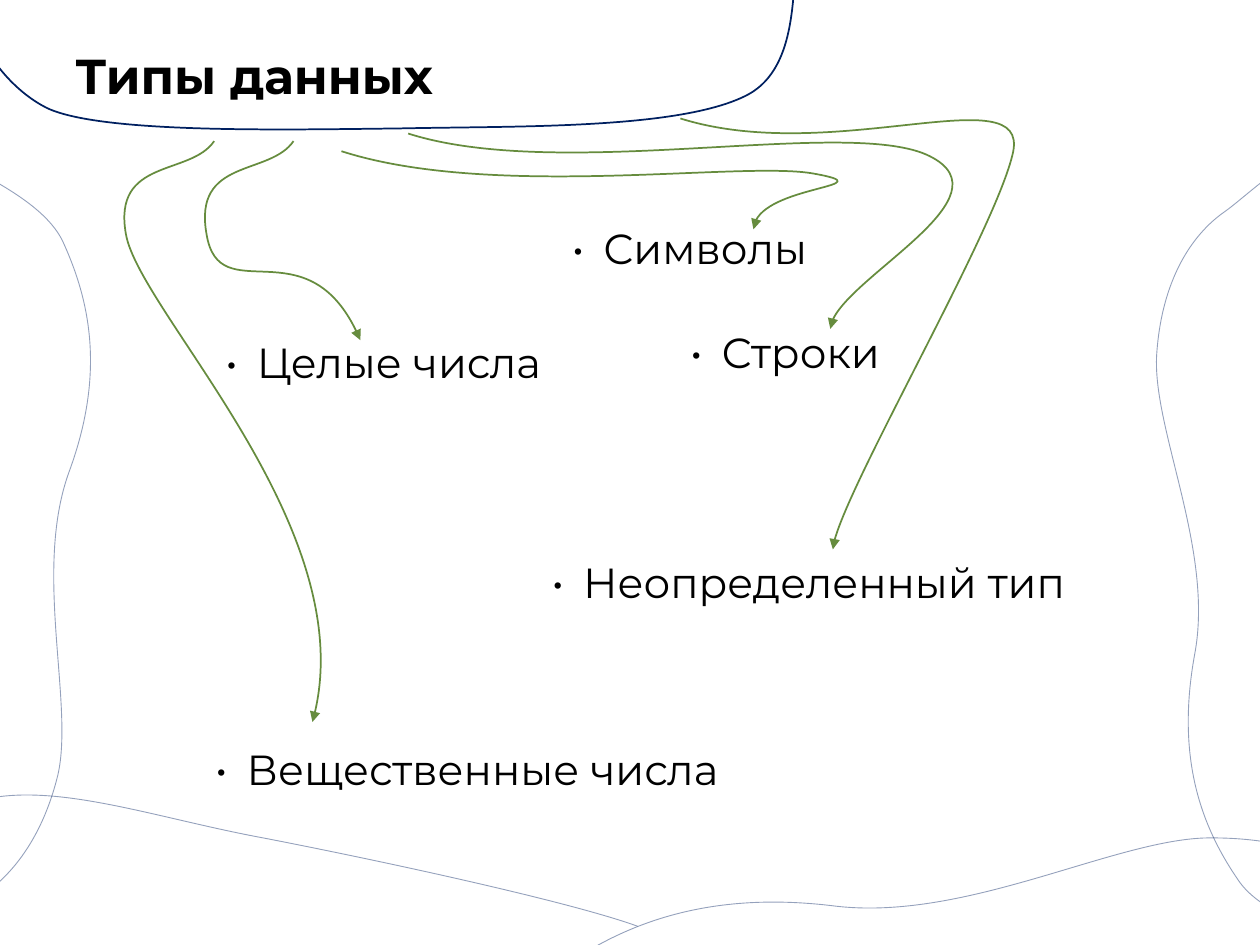
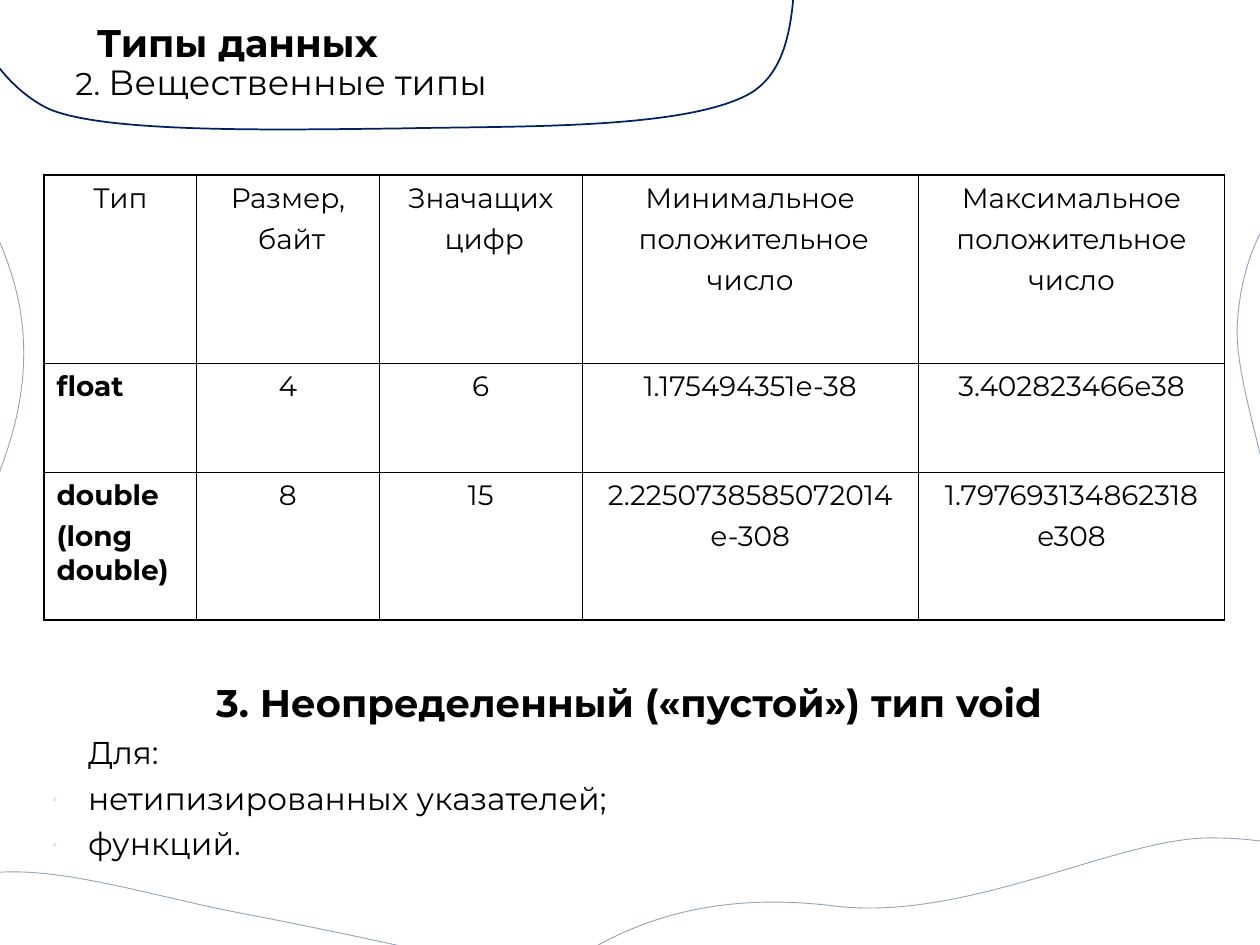
from dataclasses import dataclass
from math import cos, radians, sin

from lxml import etree
from pptx import Presentation
from pptx.dml.color import RGBColor
from pptx.enum import text as t
from pptx.oxml import parse_xml
from pptx.oxml.ns import nsdecls, qn
from pptx.util import Emu, Pt

PX = 9144  # 100 px to the inch

Point = tuple[int, int]


@dataclass(frozen=True)
class Theme:
    font: str = "Montserrat"
    ink: str = "000000"
    navy: str = "002060"
    green: str = "5E8634"
    pale_bullet: str = "E7E6E6"
    title: int = 28
    subtitle: int = 22
    label: int = 24
    type_name: int = 20
    body: int = 18
    cell: int = 16
    outer_border: float = 1.08
    inner_border: float = 0.45


THEME = Theme()


@dataclass(frozen=True)
class Box:
    left: int
    top: int
    width: int
    height: int

    def emu(self) -> tuple[Emu, ...]:
        return tuple(Emu(v * PX) for v in (self.left, self.top, self.width, self.height))


@dataclass(frozen=True)
class Stroke:
    color: str
    width: float
    opacity: int = 100
    arrow: bool = False


@dataclass(frozen=True)
class Curve:
    """A start point followed by two handles and an end point per Bézier piece."""
    box: Box
    points: tuple[Point, ...]
    stroke: Stroke
    rotation: float = 0


@dataclass(frozen=True)
class Line:
    """One paragraph; lengths in px, space in points."""
    runs: tuple[tuple[str, int], ...]
    bold: bool = False
    centred: bool = False
    margin: int = 0
    hanging: int = 0
    bullet: str = ""
    bullet_percent: int = 100
    space_before: float = 0
    spacing: float = 1.0


@dataclass(frozen=True)
class DataType:
    label: str
    box: Box
    arrow: Curve


FRAME = Stroke(THEME.navy, 1)
WAVE = Stroke(THEME.navy, 0.5, opacity=42)
ARROW = Stroke(THEME.green, 1, opacity=95, arrow=True)

TITLE_FRAME = Curve(Box(-17, -60, 658, 163), (
    (581, -17), (540, -34), (148, -16), (43, -18), (-63, -20), (-6, 67), (40, 87),
    (86, 106), (225, 103), (317, 102), (409, 100), (538, 103), (592, 76),
    (646, 49), (621, -47), (641, -60)), FRAME)
LEFT_WAVE = Curve(Box(-352, 338, 650, 201), (
    (-40, 167), (-64, 205), (-111, 594), (-130, 697), (-149, 801), (-57, 731), (-27, 718),
    (2, 704), (32, 672), (46, 615), (59, 558), (26, 453), (55, 374),
    (84, 295), (71, 238), (50, 192), (29, 147), (-63, 122), (-72, 101)), WAVE, 279.5)
RIGHT_WAVE = Curve(Box(693, 343, 650, 201), (
    (1076, 709), (1093, 667), (1075, 276), (1077, 171), (1079, 65), (999, 149), (972, 168),
    (946, 186), (922, 222), (918, 281), (914, 340), (964, 437), (948, 520),
    (933, 603), (954, 657), (983, 699), (1011, 740), (1106, 749), (1119, 769)), WAVE, 90)
LOWER_LEFT_WAVE = Curve(Box(-133, 635, 619, 232), (
    (506, 735), (451, 715), (297, 682), (209, 665), (122, 649), (41, 619), (-19, 636),
    (-79, 653), (-125, 760), (-154, 767)), WAVE, 197.8)
LOWER_RIGHT_WAVE = Curve(Box(353, 676, 823, 245), (
    (433, 887), (486, 905), (979, 856), (1113, 851), (1246, 845), (1134, 754), (1109, 723),
    (1084, 692), (1037, 665), (962, 665), (888, 664), (768, 732), (662, 719),
    (557, 706), (489, 736), (439, 773), (389, 810), (384, 927), (360, 943)), WAVE, 176.8)

DATA_TYPES = (
    DataType("Целые числа", Box(169, 267, 355, 58), Curve(Box(162, 112, 124, 157), (
        (233, 112), (214, 140), (153, 125), (164, 186),
        (174, 247), (246, 175), (286, 270)), ARROW)),
    DataType("Вещественные числа", Box(161, 590, 500, 66), Curve(Box(99, 112, 156, 461), (
        (170, 112), (151, 140), (89, 125), (100, 186),
        (111, 248), (291, 422), (248, 573)), ARROW)),
    DataType("Неопределенный тип", Box(428, 441, 490, 58), Curve(Box(540, 94, 265, 342), (
        (540, 94), (661, 132), (817, 60), (804, 121),
        (791, 181), (663, 400), (661, 436)), ARROW)),
    DataType("Символы", Box(444, 176, 217, 58), Curve(Box(271, 120, 392, 62), (
        (271, 120), (392, 159), (592, 127), (647, 138),
        (702, 148), (600, 147), (598, 182)), ARROW)),
    DataType("Строки", Box(538, 259, 217, 58), Curve(Box(324, 106, 430, 155), (
        (324, 106), (446, 145), (675, 92), (738, 124),
        (802, 156), (661, 225), (659, 261)), ARROW)),
)

COLUMN_WIDTHS = (121, 145, 161, 267, 243)
ROW_HEIGHTS = (149, 87, 117)
REAL_TYPES = (
    ("Тип", "Размер,\n байт", "Значащих\n цифр",
     "Минимальное\n положительное\nчисло", "Максимальное\nположительное\nчисло"),
    ("float", "4", "6", "1.175494351е-38", "3.402823466е38"),
    ("double\n(long double)", "8", "15", "2.2250738585072014\nе-308", "1.797693134862318\ne308"),
)


def local_points(curve: Curve) -> list[tuple[int, int]]:
    """Turn the points back by the rotation and measure them in EMU from the box corner."""
    box, angle = curve.box, radians(curve.rotation)
    half_width, half_height = box.width / 2, box.height / 2
    turned = []
    for x, y in curve.points:
        dx, dy = x - box.left - half_width, y - box.top - half_height
        turned.append((round((half_width + dx * cos(angle) + dy * sin(angle)) * PX),
                       round((half_height - dx * sin(angle) + dy * cos(angle)) * PX)))
    return turned


def draw_curve(slide, curve: Curve, dx: int = 0, dy: int = 0) -> None:
    points = local_points(curve)
    builder = slide.shapes.build_freeform(*points[0], scale=1.0)
    builder.add_line_segments(points[3::3], close=False)
    outline = builder.convert_to_shape()
    left, top, width, height = curve.box.emu()
    outline.left, outline.top = Emu(left + dx * PX), Emu(top + dy * PX)
    outline.width, outline.height = width, height
    outline.rotation = curve.rotation
    bend(outline, points, width, height)
    outline.shadow.inherit = False
    outline.fill.background()
    outline.line.color.rgb = RGBColor.from_string(curve.stroke.color)
    outline.line.width = Pt(curve.stroke.width)
    ln = outline.line._get_or_add_ln()
    if curve.stroke.opacity < 100:
        color = ln.find(".//" + qn("a:srgbClr"))
        etree.SubElement(color, qn("a:alpha"), val=str(curve.stroke.opacity * 1000))
    if curve.stroke.arrow:
        etree.SubElement(ln, qn("a:tailEnd"), type="triangle")


def bend(outline, points: list[tuple[int, int]], width: int, height: int) -> None:
    """Replace the straight pieces of a freeform by Bézier pieces."""
    track = outline._element.find(".//" + qn("a:path"))
    for piece in list(track):
        track.remove(piece)
    track.set("w", str(width))
    track.set("h", str(height))
    pieces = [("a:moveTo", points[:1])]
    pieces += [("a:cubicBezTo", points[i:i + 3]) for i in range(1, len(points), 3)]
    for tag, corners in pieces:
        piece = etree.SubElement(track, qn(tag))
        for x, y in corners:
            etree.SubElement(piece, qn("a:pt"), x=str(x), y=str(y))


def fill_text(frame, lines: list[Line]) -> None:
    for i, line in enumerate(lines):
        paragraph = frame.paragraphs[0] if i == 0 else frame.add_paragraph()
        properties = paragraph._p.get_or_add_pPr()
        if line.margin:
            properties.set("marL", str(line.margin * PX))
            properties.set("indent", str(-line.hanging * PX))
        if line.bullet:
            color = etree.SubElement(properties, qn("a:buClr"))
            etree.SubElement(color, qn("a:srgbClr"), val=line.bullet)
            etree.SubElement(properties, qn("a:buSzPct"), val=str(line.bullet_percent * 1000))
            etree.SubElement(properties, qn("a:buFont"), typeface=THEME.font)
            etree.SubElement(properties, qn("a:buChar"), char="•")
        paragraph.alignment = t.PP_ALIGN.CENTER if line.centred else t.PP_ALIGN.LEFT
        paragraph.line_spacing = line.spacing
        paragraph.space_before = Pt(line.space_before if i else 0)
        font = paragraph.font
        font.name, font.bold = THEME.font, line.bold
        font.color.rgb = RGBColor.from_string(THEME.ink)
        sizes = {size for _, size in line.runs}
        if len(sizes) == 1:
            font.size = Pt(sizes.pop())
        for words, size in line.runs:
            run = paragraph.add_run()
            run.text = words
            if len(line.runs) > 1:
                run.font.size = Pt(size)


def add_text(slide, box: Box, lines: list[Line], anchor=t.MSO_ANCHOR.TOP) -> None:
    frame = slide.shapes.add_textbox(*box.emu()).text_frame
    frame.word_wrap = True
    frame.vertical_anchor = anchor
    fill_text(frame, lines)


def add_content_slide(deck, title_box: Box, title: list[Line],
                      left: Point = (0, 0), right: Point = (0, 0),
                      lower_left: Point = (0, 0)):
    """Add a slide with its title frame and with side waves moved as given."""
    slide = deck.slides.add_slide(deck.slide_layouts[6])
    draw_curve(slide, LEFT_WAVE, *left)
    draw_curve(slide, TITLE_FRAME)
    draw_curve(slide, RIGHT_WAVE, *right)
    draw_curve(slide, LOWER_LEFT_WAVE, *lower_left)
    draw_curve(slide, LOWER_RIGHT_WAVE)
    add_text(slide, title_box, title, t.MSO_ANCHOR.MIDDLE)
    return slide


def set_borders(cell, outer_sides: str) -> None:
    properties = cell._tc.get_or_add_tcPr()
    for position, side in enumerate("LRTB"):
        points = THEME.outer_border if side in outer_sides else THEME.inner_border
        properties.insert(position, parse_xml(
            f'<a:ln{side} {nsdecls("a")} w="{Pt(points)}"><a:solidFill>'
            f'<a:srgbClr val="{THEME.ink}"/></a:solidFill></a:ln{side}>'))


def add_real_types_table(slide) -> None:
    box = Box(35, 139, sum(COLUMN_WIDTHS), sum(ROW_HEIGHTS))
    table = slide.shapes.add_table(len(ROW_HEIGHTS), len(COLUMN_WIDTHS), *box.emu()).table
    table.first_row = table.horz_banding = False
    for column, width in zip(table.columns, COLUMN_WIDTHS):
        column.width = Emu(width * PX)
    for row, height in zip(table.rows, ROW_HEIGHTS):
        row.height = Emu(height * PX)
    last_row, last_column = len(ROW_HEIGHTS) - 1, len(COLUMN_WIDTHS) - 1
    for r, values in enumerate(REAL_TYPES):
        for c, value in enumerate(values):
            cell = table.cell(r, c)
            cell.fill.background()
            edges = {"L": c == 0, "R": c == last_column, "T": r == 0, "B": r == last_row}
            set_borders(cell, "".join(side for side, outer in edges.items() if outer))
            is_type_name = r > 0 and c == 0
            fill_text(cell.text_frame, [
                Line(((words, THEME.cell),), bold=is_type_name,
                     centred=not is_type_name, space_before=4)
                for words in value.split("\n")])


def build_overview(deck) -> None:
    slide = add_content_slide(deck, Box(50, 30, 900, 65), [
        Line((("Типы данных", THEME.title),), bold=True, spacing=0.9)])
    for data_type in DATA_TYPES:
        add_text(slide, data_type.box, [
            Line(((data_type.label, THEME.label),), margin=25, hanging=25,
                 bullet=THEME.ink, spacing=0.9)])
        draw_curve(slide, data_type.arrow)


def build_real_types(deck) -> None:
    title = [
        Line((("Типы данных", THEME.subtitle),), bold=True, margin=17, spacing=0.9),
        Line((("2. ", THEME.body), ("Вещественные типы", THEME.type_name)), spacing=0.9),
    ]
    slide = add_content_slide(deck, Box(50, 8, 907, 85), title,
                              left=(-53, -6), right=(64, -25), lower_left=(-11, 61))
    add_real_types_table(slide)
    uses = [
        Line(((use, THEME.body),), margin=29, hanging=29, bullet=THEME.pale_bullet,
             bullet_percent=75, space_before=4.5)
        for use in ("нетипизированных указателей;", "функций.")]
    add_text(slide, Box(31, 534, 945, 213), [
        Line((("3. Неопределенный («пустой») тип void ", THEME.subtitle),),
             bold=True, centred=True),
        Line((("Для:", THEME.body),), margin=29, space_before=4.5),
        *uses])


def main() -> None:
    deck = Presentation()
    deck.slide_width, deck.slide_height = Emu(1000 * PX), Emu(750 * PX)
    build_overview(deck)
    build_real_types(deck)
    deck.save("out.pptx")


if __name__ == "__main__":
    main()
